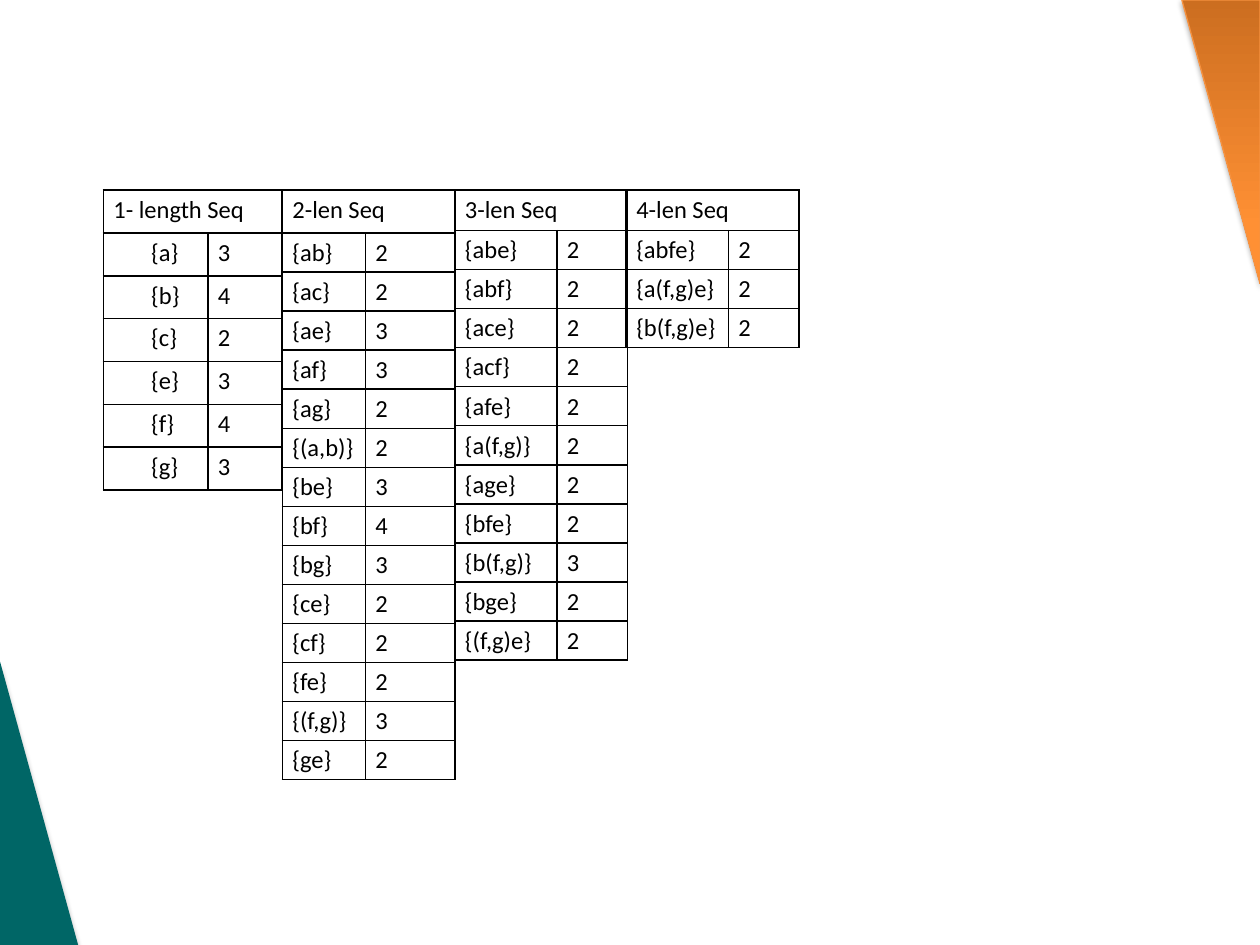
"""Build a slide listing frequent sequences of length one to four with their support counts."""
import pptx
import pptx.dml.color
import pptx.enum.shapes
import pptx.oxml
import pptx.oxml.ns
import pptx.util
from pptx.util import Inches

NS = pptx.oxml.ns.nsdecls("a")
SHADOW = (f'<a:effectLst {NS}><a:outerShdw blurRad="40000" dist="23000" dir="5400000" rotWithShape="0">'
          '<a:srgbClr val="000000"><a:alpha val="35000"/></a:srgbClr></a:outerShdw></a:effectLst>')


def rgb(value):
    return pptx.dml.color.RGBColor.from_string(value)


def fill_cell(cell, text, indent):
    cell.margin_left, cell.margin_right = Inches(indent), Inches(0.08)
    cell.margin_top, cell.margin_bottom = Inches(0.04), Inches(0.03)
    tcPr = cell._tc.get_or_add_tcPr()
    for side in "LRTB":
        tcPr.append(pptx.oxml.parse_xml(
            f'<a:ln{side} {NS} w="12700"><a:solidFill><a:srgbClr val="000000"/></a:solidFill></a:ln{side}>'))
    cell.fill.background()
    if text:
        r = cell.text_frame.paragraphs[0].add_run()
        r.text = text
        r.font.name = "Calibri"
        r.font.size = pptx.util.Pt(14)
        r.font.bold = False
        r.font.color.rgb = rgb("000000")


prs = pptx.Presentation()
prs.slide_width, prs.slide_height = Inches(10), Inches(7.5)
s = prs.slides.add_slide(prs.slide_layouts[6])

corners = []
for left, top in [(9.38, 0), (0, 5.25)]:
    sp = s.shapes.add_shape(pptx.enum.shapes.MSO_SHAPE.RIGHT_TRIANGLE,
                            Inches(left), Inches(top), Inches(0.62), Inches(2.25))
    corners.append(sp)
orange, teal = corners
orange.rotation = 180
orange.fill.gradient()
orange.fill.gradient_angle = 90
for stop, color, position in zip(orange.fill.gradient_stops, ["CC6E20", "FF9034"], [0, 0.8]):
    stop.color.rgb = rgb(color)
    stop.position = position
orange.line.color.rgb = rgb("F69240")
orange.line.width = pptx.util.Pt(0.75)
teal.fill.solid()
teal.fill.fore_color.rgb = rgb("006666")
teal.line.fill.background()
for sp in corners:
    sp._element.spPr.append(pptx.oxml.parse_xml(SHADOW))

tables = [
    ("1- length Seq", 0.82, (0.83, 0.59), (0.34, 0.34), 0.38,
     "{a} 3 {b} 4 {c} 2 {e} 3 {f} 4 {g} 3"),
    ("2-len Seq", 2.24, (0.66, 0.71), (0.34, 0.31), 0.08,
     "{ab} 2 {ac} 2 {ae} 3 {af} 3 {ag} 2 {(a,b)} 2 {be} 3 {bf} 4 {bg} 3 "
     "{ce} 2 {cf} 2 {fe} 2 {(f,g)} 3 {ge} 2"),
    ("3-len Seq", 3.61, (0.81, 0.56), (0.32, 0.31), 0.08,
     "{abe} 2 {abf} 2 {ace} 2 {acf} 2 {afe} 2 {a(f,g)} 2 {age} 2 {bfe} 2 "
     "{b(f,g)} 3 {bge} 2 {(f,g)e} 2"),
    ("4-len Seq", 4.97, (0.81, 0.56), (0.32, 0.31), 0.08,
     "{abfe} 2 {a(f,g)e} 2 {b(f,g)e} 2"),
]
for header, left, widths, (header_height, row_height), indent, entries in tables:
    words = entries.split()
    rows = [(header, "")] + list(zip(words[::2], words[1::2]))
    height = header_height + row_height * (len(rows) - 1)
    frame = s.shapes.add_table(len(rows), 2, Inches(left), Inches(1.51),
                               Inches(sum(widths)), Inches(height))
    table = frame.table
    table.first_row = table.horz_banding = False
    for column, width in zip(table.columns, widths):
        column.width = Inches(width)
    for i, (sequence, support) in enumerate(rows):
        table.rows[i].height = Inches(row_height if i else header_height)
        fill_cell(table.cell(i, 0), sequence, indent if i else 0.08)
        fill_cell(table.cell(i, 1), support, 0.08)
    table.cell(0, 0).merge(table.cell(0, 1))

prs.save("out.pptx")
